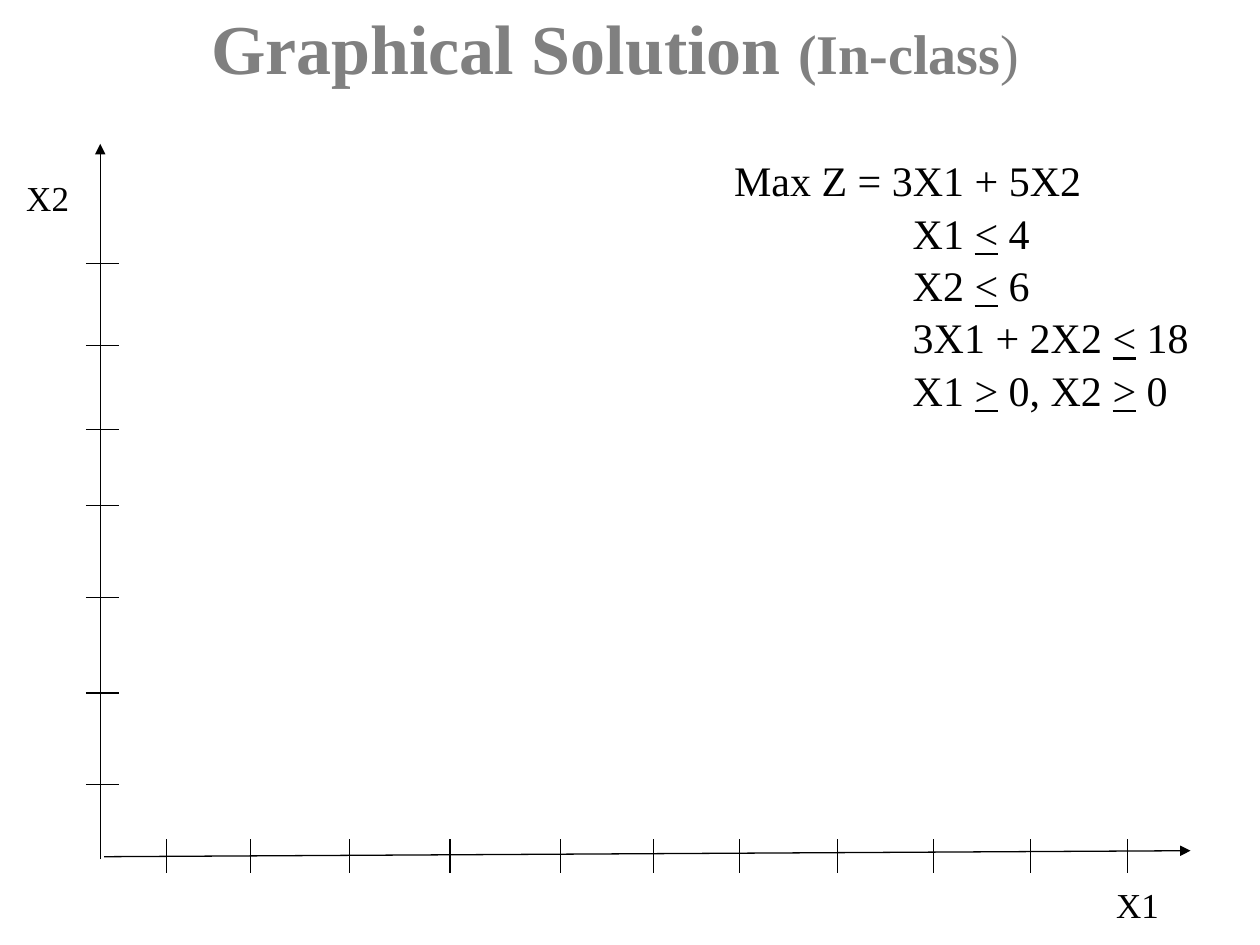
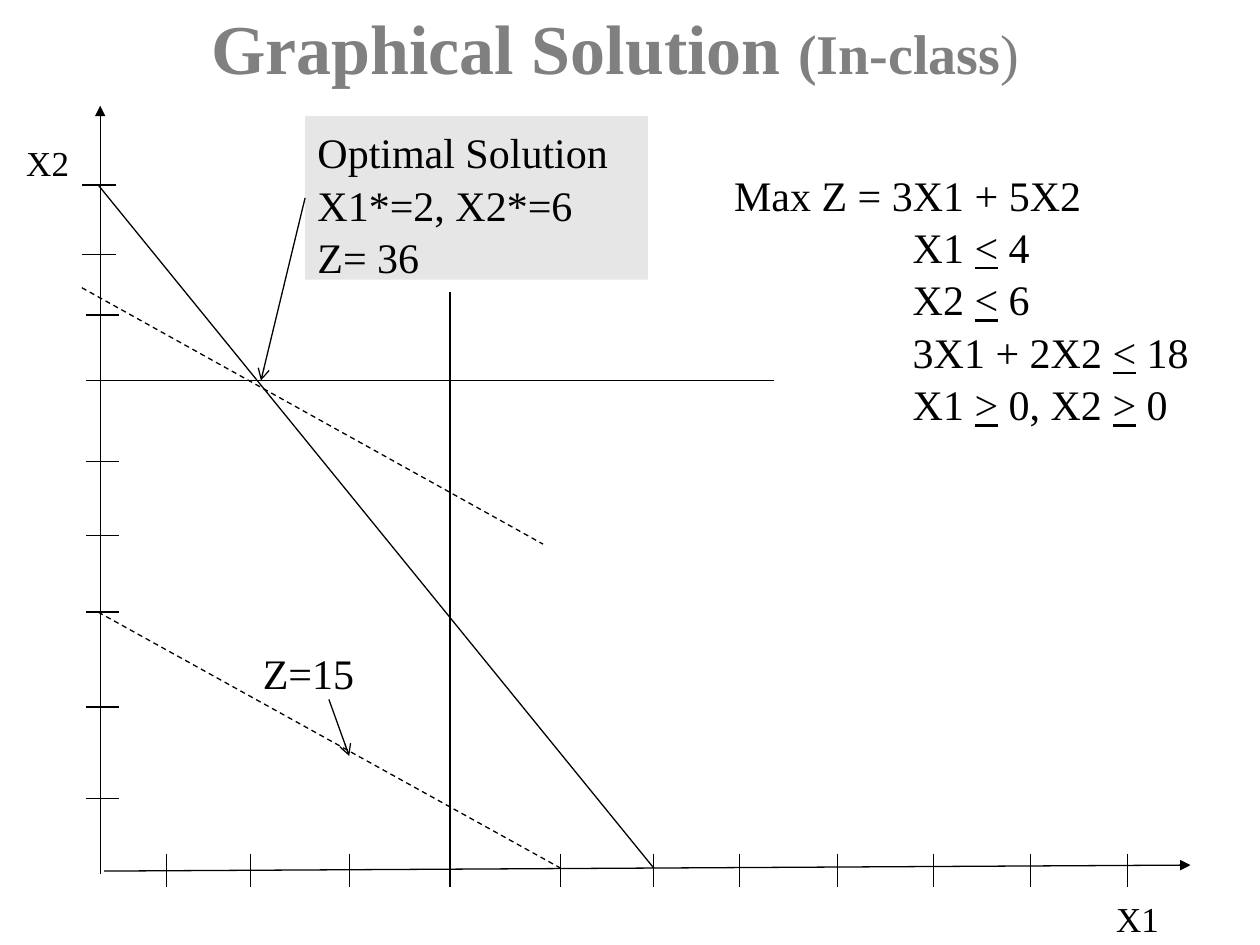
from itertools import groupby

from lxml.etree import SubElement
from pptx import Presentation
from pptx.dml.color import RGBColor
from pptx.enum.dml import MSO_LINE
from pptx.enum.shapes import MSO_CONNECTOR, MSO_SHAPE
from pptx.enum.text import MSO_ANCHOR as Anchor, PP_ALIGN as Align
from pptx.oxml.ns import qn
from pptx.util import Cm, Pt

BLACK = RGBColor(0, 0, 0)
GRAY = RGBColor(0x80, 0x80, 0x80)
PALE_GRAY = RGBColor(0xE6, 0xE6, 0xE6)
FONT = "Times New Roman"

X1_TICKS = (3.35, 5.05, 7.04, 9.07, 11.3, 13.18, 14.91, 16.89, 18.82, 20.78, 22.73)
TICK_LENGTH = 0.67
OBJECTIVE = "Max Z = 3X1 + 5X2"
CONSTRAINTS = ("X1 < 4", "X2 < 6", "3X1 + 2X2 < 18", "X1 > 0, X2 > 0")


def add_run(paragraph, text, size=24, color=BLACK, bold=False, underline=False):
    """Append formatted text to a paragraph."""
    run = paragraph.add_run()
    run.text = text
    font = run.font
    font.name, font.size, font.bold = FONT, Pt(size), bold
    font.underline = underline
    font.color.rgb = color


class GraphSlides:
    """Draws the graphical solution slides in one style."""

    def __init__(self):
        """Start an empty 4:3 presentation."""
        self.presentation = Presentation()
        self.presentation.slide_width = Cm(25.4)
        self.presentation.slide_height = Cm(19.05)
        self.slide = None

    def add_slide(self):
        """Begin a slide with the shared title."""
        self.slide = self.presentation.slides.add_slide(self.presentation.slide_layouts[6])
        box = self.slide.shapes.add_textbox(Cm(4.01), Cm(0.2), Cm(21.39), Cm(1.47))
        box.text_frame.word_wrap = True
        box.text_frame.vertical_anchor = Anchor.MIDDLE
        paragraph = box.text_frame.paragraphs[0]
        add_run(paragraph, "Graphical Solution ", size=40, color=GRAY, bold=True)
        add_run(paragraph, "(In-class", size=32, color=GRAY, bold=True)
        add_run(paragraph, ")", size=32, color=GRAY)

    def line(self, start, end, head=None, dashed=False):
        """Draw a thin straight line with an optional arrowhead."""
        points = [Cm(value) for value in (*start, *end)]
        connector = self.slide.shapes.add_connector(MSO_CONNECTOR.STRAIGHT, *points)
        connector.line.color.rgb = BLACK
        connector.line.width = Pt(0.75)
        if dashed:
            connector.line.dash_style = MSO_LINE.DASH
        if head:
            SubElement(connector.line._get_or_add_ln(), qn("a:tailEnd"), type=head)
        SubElement(connector._element.spPr, qn("a:effectLst"))
        return connector

    def text(self, lines, left, top, width, height, size=24, indent=0, fill=None):
        """Place lines of text, indenting all after the first."""
        place = [Cm(value) for value in (left, top, width, height)]
        if fill is None:
            shape = self.slide.shapes.add_textbox(*place)
        else:
            shape = self.slide.shapes.add_shape(MSO_SHAPE.RECTANGLE, *place)
            shape.shadow.inherit = False
            shape.fill.solid()
            shape.fill.fore_color.rgb = fill
            shape.line.fill.background()
        frame = shape.text_frame
        frame.word_wrap = True
        frame.vertical_anchor = Anchor.TOP
        frame.margin_top, frame.margin_bottom = Cm(0.18), Cm(0.08)
        for index, line in enumerate(lines):
            paragraph = frame.add_paragraph() if index else frame.paragraphs[0]
            paragraph.alignment = Align.LEFT
            paragraph.line_spacing = 1.04
            if index and indent:
                paragraph._p.get_or_add_pPr().set("marL", str(Cm(indent)))
            for is_sign, part in groupby(line, key=lambda letter: letter in "<>"):
                add_run(paragraph, "".join(part), size=size, underline=is_sign)
        return shape

    def x2_ticks(self, heights, left=1.73):
        """Mark the vertical axis at each height."""
        for y in heights:
            self.line((left, y), (left + TICK_LENGTH, y))

    def axes(self, top, x2_label_top, drop=0):
        """Draw both axes, the X1 ticks and the axis labels."""
        self.line((2.02, 17.32 + drop), (2.02, top), head="triangle")
        self.line((2.1, 17.27 + drop), (24, 17.15 + drop), head="triangle")
        for x in X1_TICKS:
            self.line((x, 16.92 + drop), (x, 16.92 + drop + TICK_LENGTH))
        self.text(["X1"], 22.25, 17.6 + drop, 2.03, 1.12, size=20)
        self.text(["X2"], 0.28, x2_label_top, 1.45, 1.12, size=20)

    def problem(self, drop=0):
        """Write the objective and its constraints."""
        self.text((OBJECTIVE, *CONSTRAINTS), 14.55, 2.9 + drop, 10.39, 5.33, indent=3.6)


def build_empty_graph(deck):
    """Add the slide with bare axes."""
    deck.add_slide()
    deck.axes(top=2.9, x2_label_top=3.35)
    deck.x2_ticks((5.31, 6.96, 8.66, 10.19, 12.05, 13.97, 15.82))
    deck.problem()


def build_solved_graph(deck):
    """Add the slide with constraints and the optimum."""
    drop = 0.29
    deck.add_slide()
    deck.axes(top=2.13, x2_label_top=2.64, drop=drop)
    deck.x2_ticks((6.35, 7.67, 9.3, 10.8, 12.34, 14.25, 16.1))
    deck.x2_ticks((3.73, 5.13), left=1.66)
    deck.problem(drop)
    deck.line((9.07, 17.6), (9.07, 5.89))
    deck.line((2.1, 7.67), (15.6, 7.67))
    deck.line((1.98, 3.73), (13.18, 17.5))
    deck.line((1.98, 12.34), (11.3, 17.5), dashed=True)
    deck.line((1.65, 5.8), (10.95, 10.97), dashed=True)
    deck.text(["Z=15"], 5.05, 12.83, 2.46, 1.27)
    deck.line((6.63, 14.1), (7.04, 15.24), head="arrow")
    optimum = deck.text(("Optimal Solution", "X1*=2, X2*=6", "Z= 36"),
                        6.15, 2.34, 6.91, 3.3, fill=PALE_GRAY)
    pointer = deck.line((6.15, 3.99), (5.26, 7.67), head="arrow")
    pointer.begin_connect(optimum, 1)


def main():
    """Build and save both slides."""
    deck = GraphSlides()
    build_empty_graph(deck)
    build_solved_graph(deck)
    deck.presentation.save("out.pptx")


if __name__ == "__main__":
    main()
